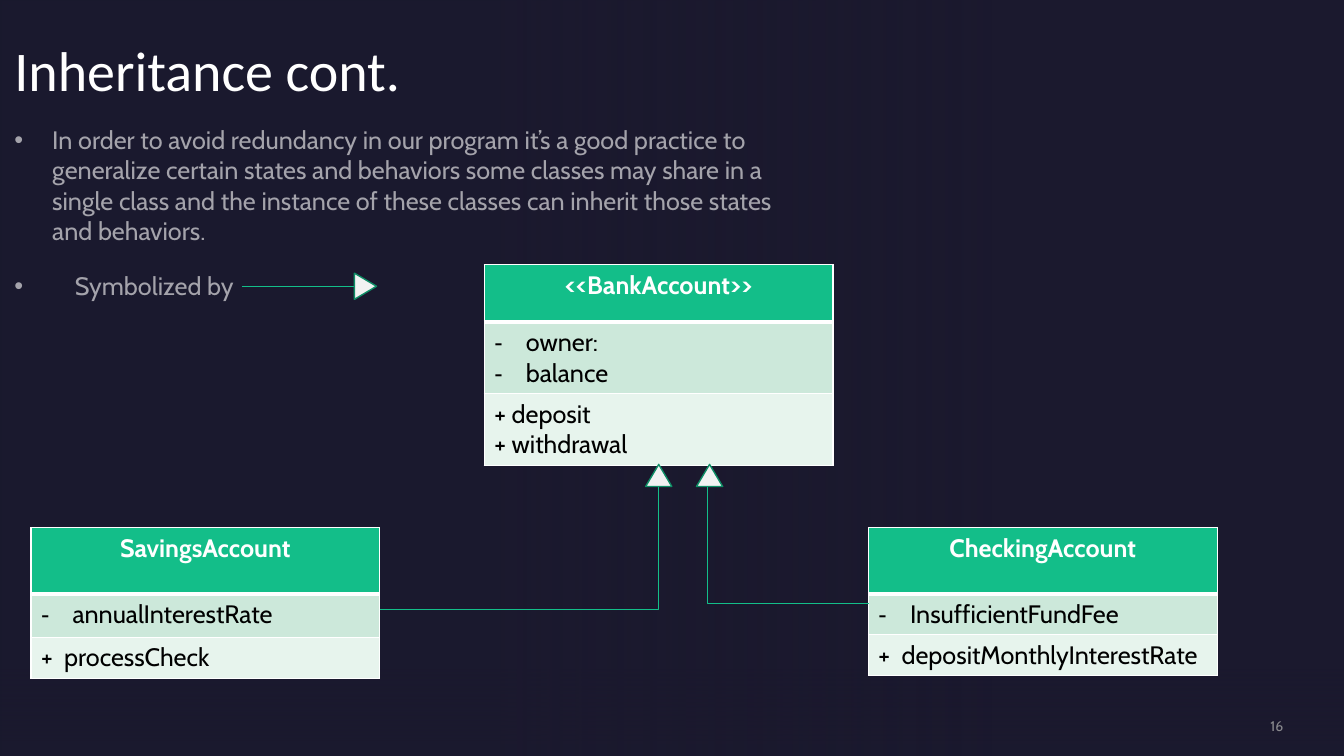
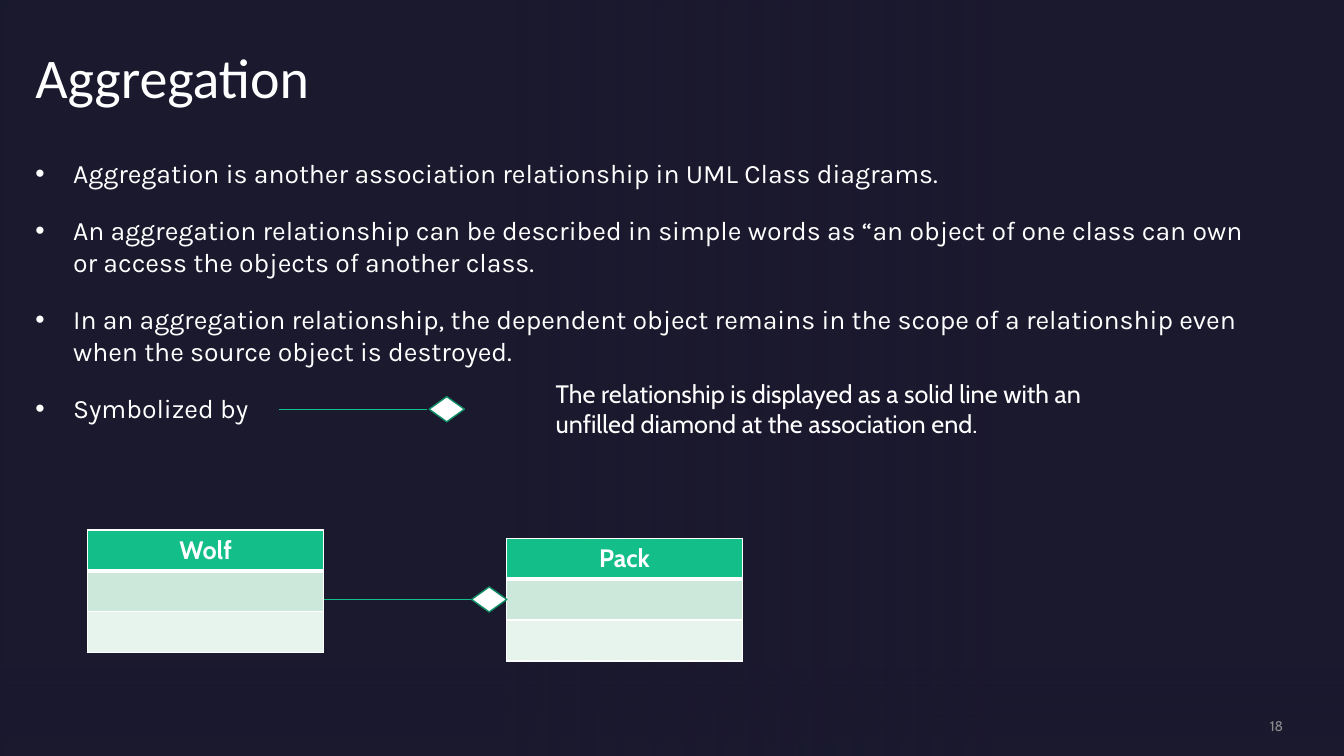
import pptx
import pptx.util
import pptx.dml.color
import pptx.enum.shapes
import pptx.enum.text
import pptx.oxml
import pptx.oxml.ns
from lxml import etree

Pt = pptx.util.Pt
qn = pptx.oxml.ns.qn
Shape = pptx.enum.shapes.MSO_SHAPE
Link = pptx.enum.shapes.MSO_CONNECTOR
Align = pptx.enum.text.PP_ALIGN
Anchor = pptx.enum.text.MSO_ANCHOR
Fit = pptx.enum.text.MSO_AUTO_SIZE

THEME = {
    "back": "1B192E", "white": "FFFFFF", "muted": "A4A3AB", "number": "8A8A8E",
    "black": "000000", "accent": "13BE89", "edge": "0E8D65", "arrow": "F2F2F2",
    "bands": ["13BE89", "CCE8DA", "E7F4ED"],
    "title": {"name": "Calibri", "size": Pt(40)},
    "text": {"name": "Cabin", "size": Pt(18)},
    "wide": {"name": "Karla", "size": Pt(19)},
    "small": {"name": "Cabin", "size": Pt(10)},
    "thin": 0.5, "border": 1, "rule": 3,
}
SHADES = [
    {"box": (0, 0, 708.5, 540), "turn": 180, "angle": 0, "stops": [(0, 0), (50, 60)]},
    {"box": (0, 454.3, 960, 85.7), "turn": 0, "angle": 90, "stops": [(28, 0), (90, 60)]},
]
NUMBER_BOX = (783.4, 512.6, 133.2, 12.2)
ARROW, DIAMOND = (18.7, 15.8), (25.2, 18)
HANG, FIELD_HANG, METHOD_HANG = 27, 22.5, 16.5

SLIDES = [
    {
        "title": "Inheritance cont.", "title_box": (10.3, 15.8, 551.5, 57.6),
        "body_box": (10.3, 88.8, 567.4, 152.6), "style": "text", "color": "muted",
        "bullets": [
            ("In order to avoid redundancy in our program it’s a good practice to generalize "
             "certain states and behaviors some classes may share in a single class and the "
             "instance of these classes can inherit those states and behaviors.", HANG),
            ("Symbolized by", 43.2),
        ],
        "number": "16",
        "classes": [
            {"name": "<<BankAccount>>", "at": (345.9, 189.1), "width": 249.1,
             "rows": (41, 50.9, 50.9), "fields": ["owner:", "balance"],
             "methods": ["+ deposit", "+ withdrawal"]},
            {"name": "SavingsAccount", "at": (22.1, 377), "width": 249.1,
             "rows": (47.3, 31, 29.2), "fields": ["annualInterestRate"],
             "methods": ["+\tprocessCheck"]},
            {"name": "CheckingAccount", "at": (620.3, 377), "width": 249.1,
             "rows": (47.3, 29.2, 29.2), "fields": ["InsufficientFundFee"],
             "methods": ["+\tdepositMonthlyInterestRate"]},
        ],
        "lines": [("STRAIGHT", 172.8, 204.5, 253.4, 204.5),
                  ("ELBOW", 271.4, 435.6, 470.2, 335.5),
                  ("ELBOW", 620.6, 431.3, 505.6, 342)],
        "marks": [("ISOSCELES_TRIANGLE", ARROW, (251.7, 196.6), 90, "arrow"),
                  ("ISOSCELES_TRIANGLE", ARROW, (461.2, 331.7), 0, "arrow"),
                  ("ISOSCELES_TRIANGLE", ARROW, (497.5, 331.7), 0, "arrow")],
        "notes": [],
    },
    {
        "title": "Aggregation", "title_box": (25.2, 20.7, 551.5, 57.6),
        "body_box": (25.2, 112.1, 878.4, 257), "style": "wide", "color": "white",
        "bullets": [
            ("Aggregation is another association relationship in UML Class diagrams.", HANG),
            ("An aggregation relationship can be described in simple words as “an object of one "
             "class can own or access the objects of another class.", HANG),
            ("In an aggregation relationship, the dependent object remains in the scope of a "
             "relationship even when the source object is destroyed.", HANG),
            ("Symbolized by", HANG),
        ],
        "number": "18",
        "classes": [
            {"name": name, "at": at, "width": 168.5, "rows": (29.2,) * 3,
             "fields": [], "methods": []}
            for name, at in (("Wolf", (62.6, 378.5)), ("Pack", (361.9, 384.5)))
        ],
        "lines": [("STRAIGHT", 199.4, 292.3, 305.3, 292.3),
                  ("STRAIGHT", 231.1, 428.4, 337, 428.4)],
        "marks": [("DIAMOND", DIAMOND, (306.5, 283.3), 0, "white"),
                  ("DIAMOND", DIAMOND, (336.8, 419.2), 0, "white")],
        "notes": [("The relationship is displayed as a solid line with an unfilled diamond "
                   "at the association end.", (389.8, 266.4, 414, 51.1))],
    },
]


def rgb(key):
    return pptx.dml.color.RGBColor.from_string(THEME.get(key, key))


def put(obj, **values):
    for name, value in values.items():
        setattr(obj, name, value)


def place(sp, box):
    put(sp, **dict(zip(("left", "top", "width", "height"), map(Pt, box))))


def write(p, text, style, color, bold=False, align=Align.LEFT):
    p.alignment = align
    r = p.add_run()
    r.text = text
    put(r.font, bold=bold, **THEME[style])
    r.font.color.rgb = rgb(color)


def hanging(p, hang, char=None):
    pPr = p._p.get_or_add_pPr()
    pPr.set("marL", str(Pt(hang)))
    pPr.set("indent", str(-Pt(hang)))
    if char:
        etree.SubElement(pPr, qn("a:buFont")).set("typeface", "Arial")
        etree.SubElement(pPr, qn("a:buChar")).set("char", char)


def paragraphs(tf, count):
    return [tf.paragraphs[0]] + [tf.add_paragraph() for _ in range(count - 1)]


def frame(sp, anchor, margin=0):
    tf = sp.text_frame
    put(tf, word_wrap=True, auto_size=Fit.NONE, vertical_anchor=anchor)
    if margin is not None:
        put(tf, **{f"margin_{side}": Pt(margin) for side in ("left", "right", "top", "bottom")})
    return tf


def add_text(s, text, box, style, color, align, anchor, margin):
    sp = s.shapes.add_textbox(*map(Pt, box))
    write(frame(sp, anchor, margin).paragraphs[0], text, style, color, align=align)


def add_heading(s, data):
    title, body = s.placeholders
    place(title, data["title_box"])
    write(frame(title, Anchor.BOTTOM).paragraphs[0], data["title"], "title", "white")
    place(body, data["body_box"])
    tf = frame(body, Anchor.TOP)
    for p, (text, hang) in zip(paragraphs(tf, len(data["bullets"])), data["bullets"]):
        write(p, text, data["style"], data["color"])
        put(p, space_before=Pt(10), space_after=Pt(8), line_spacing=1.0)
        hanging(p, hang, "•")


def add_borders(cell, row):
    tcPr = cell._tc.get_or_add_tcPr()
    widths = {"L": THEME["border"], "R": THEME["border"],
              "T": THEME["rule" if row == 1 else "border"],
              "B": THEME["rule" if row == 0 else "border"]}
    for i, (side, width) in enumerate(widths.items()):
        ln = etree.Element(qn(f"a:ln{side}"), w=str(Pt(width)))
        fill = etree.SubElement(ln, qn("a:solidFill"))
        etree.SubElement(fill, qn("a:srgbClr")).set("val", THEME["white"])
        tcPr.insert(i, ln)


def add_class(s, data):
    rows = data["rows"]
    box = (*data["at"], data["width"], sum(rows))
    table = s.shapes.add_table(len(rows), 1, *map(Pt, box)).table
    members = [None, (FIELD_HANG, "-", data["fields"]), (METHOD_HANG, None, data["methods"])]
    for i, height in enumerate(rows):
        table.rows[i].height = Pt(height)
        cell = table.cell(i, 0)
        cell.fill.solid()
        cell.fill.fore_color.rgb = rgb(THEME["bands"][i])
        add_borders(cell, i)
        if i == 0:
            write(cell.text_frame.paragraphs[0], data["name"], "text", "white", True, Align.CENTER)
            continue
        hang, char, names = members[i]
        for p, name in zip(paragraphs(cell.text_frame, len(names)), names):
            write(p, name, "text", "black")
            hanging(p, hang, char)


def add_line(s, kind, *ends):
    cx = s.shapes.add_connector(getattr(Link, kind), *map(Pt, ends))
    cx.line.color.rgb = rgb("accent")
    cx.line.width = Pt(THEME["thin"])
    spPr = cx._element.spPr
    etree.SubElement(spPr, qn("a:effectLst"))
    if kind == "ELBOW":
        geom = spPr.find(qn("a:prstGeom"))
        avLst = geom.find(qn("a:avLst"))
        if avLst is None:
            avLst = etree.SubElement(geom, qn("a:avLst"))
        gd = etree.SubElement(avLst, qn("a:gd"))
        gd.set("name", "adj1")
        gd.set("fmla", "val 100000")


def add_mark(s, kind, size, at, turn, color):
    sp = s.shapes.add_shape(getattr(Shape, kind), *map(Pt, (*at, *size)))
    sp.rotation = turn
    sp.shadow.inherit = False
    sp.fill.solid()
    sp.fill.fore_color.rgb = rgb(color)
    sp.line.color.rgb = rgb("edge")
    sp.line.width = Pt(1)


def add_shade(s, master, shade):
    sp = s.shapes.add_shape(Shape.RECTANGLE, *map(Pt, shade["box"]))
    sp.rotation = shade["turn"]
    sp.shadow.inherit = False
    sp.line.fill.background()
    sp.fill.gradient()
    sp.fill.gradient_angle = -shade["angle"] % 360
    for stop, (position, opacity) in zip(sp.fill.gradient_stops, shade["stops"]):
        stop.position = position / 100
        stop.color.rgb = rgb("back")
    for clr, (position, opacity) in zip(sp._element.spPr.iter(qn("a:srgbClr")), shade["stops"]):
        etree.SubElement(clr, qn("a:alpha")).set("val", str(opacity * 1000))
    master.element.cSld.spTree.insert(2, sp._element)


def add_slide(prs, data):
    s = prs.slides.add_slide(prs.slide_layouts[0])
    add_heading(s, data)
    add_text(s, data["number"], NUMBER_BOX, "small", "number", Align.RIGHT, Anchor.MIDDLE, 0)
    for item in data["classes"]:
        add_class(s, item)
    for line in data["lines"]:
        add_line(s, *line)
    for mark in data["marks"]:
        add_mark(s, *mark)
    for text, box in data["notes"]:
        add_text(s, text, box, "text", "white", Align.LEFT, Anchor.TOP, None)


def main():
    prs = pptx.Presentation()
    put(prs, slide_width=Pt(960), slide_height=Pt(540))
    master = prs.slide_master
    fill = master.background.fill
    fill.solid()
    fill.fore_color.rgb = rgb("back")
    for data in SLIDES:
        add_slide(prs, data)
    for shade in SHADES:
        add_shade(prs.slides[0], master, shade)
    prs.save("out.pptx")


if __name__ == "__main__":
    main()
